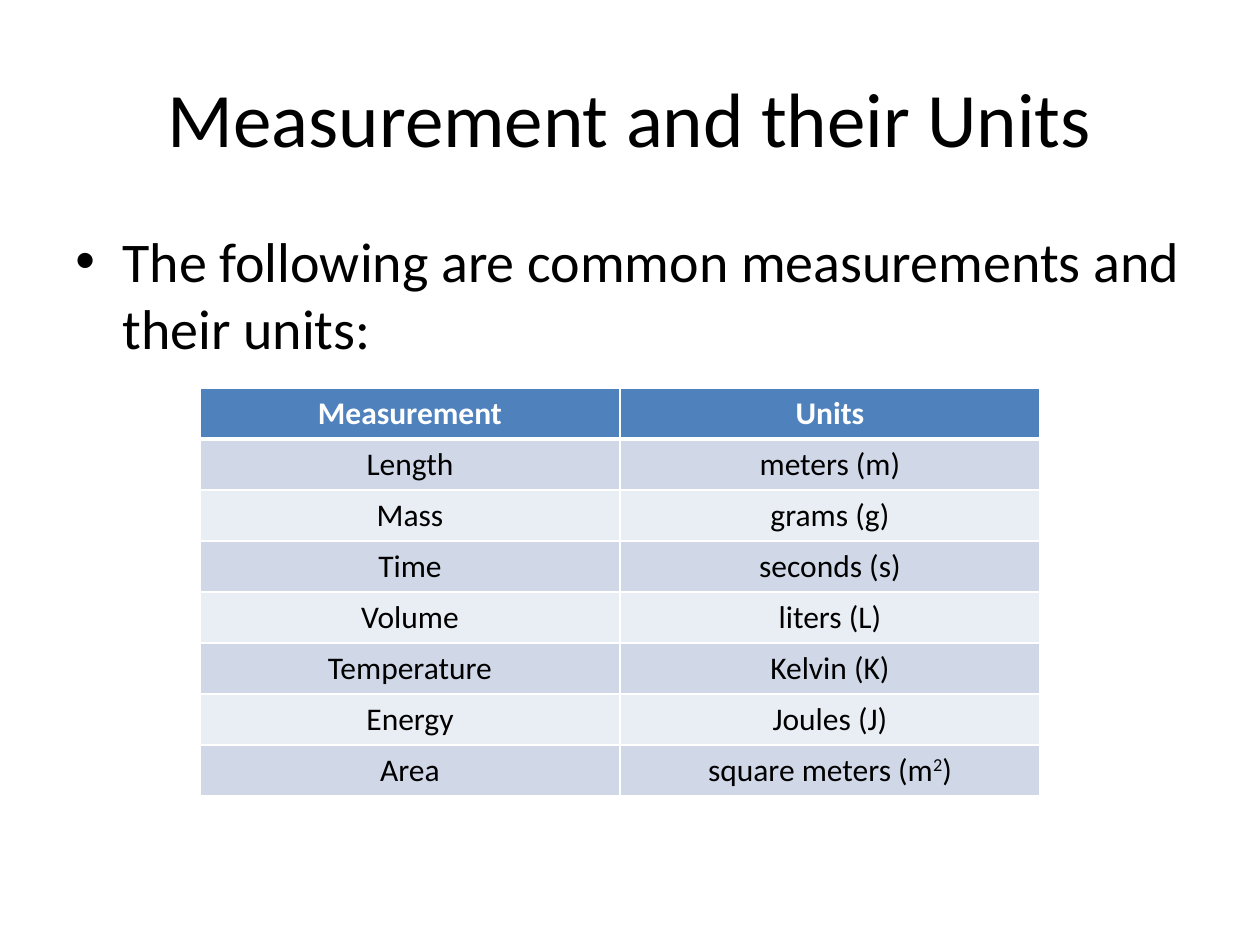
from lxml import etree
from pptx import Presentation
from pptx import util as u
from pptx.dml.color import RGBColor
from pptx.enum import text
from pptx.oxml import ns

FONT = "Calibri"
BLACK = RGBColor(0x00, 0x00, 0x00)
WHITE = RGBColor(0xFF, 0xFF, 0xFF)
BLUE = RGBColor(0x4F, 0x81, 0xBD)
BANDS = (RGBColor(0xD0, 0xD8, 0xE8), RGBColor(0xE9, 0xED, 0xF4))
THIN, THICK = 1, 3

ROWS = [
    ("Measurement", "Units"),
    ("Length", "meters (m)"),
    ("Mass", "grams (g)"),
    ("Time", "seconds (s)"),
    ("Volume", "liters (L)"),
    ("Temperature", "Kelvin (K)"),
    ("Energy", "Joules (J)"),
    ("Area", ("square meters (m", "2", ")")),
]


def px(n):
    return u.Emu(round(n * 914400 / 126))


def add_run(para, words, size, color=BLACK, bold=False, raised=False):
    run = para.add_run()
    run.text = words
    font = run.font
    font.name, font.size, font.bold = FONT, u.Pt(size), bold
    font.color.rgb = color
    if raised:
        font._element.set("baseline", "30000")


def add_frame(slide, box, anchor):
    frame = slide.shapes.add_textbox(*map(px, box)).text_frame
    frame.word_wrap = True
    frame.vertical_anchor = anchor
    return frame


def add_title(slide, box):
    para = add_frame(slide, box, text.MSO_ANCHOR.MIDDLE).paragraphs[0]
    para.alignment = text.PP_ALIGN.CENTER
    add_run(para, "Measurement and their Units", 44)


def add_body(slide, box):
    para = add_frame(slide, box, text.MSO_ANCHOR.TOP).paragraphs[0]
    para.space_before = u.Pt(6.4)
    props = para._p.get_or_add_pPr()
    props.set("marL", str(px(47)))
    props.set("indent", str(-px(47)))
    etree.SubElement(props, ns.qn("a:buFont"), typeface="Arial")
    etree.SubElement(props, ns.qn("a:buChar"), char="•")
    add_run(para, "The following are common measurements and their units:", 32)


def add_edge(cell, side, width):
    line = etree.SubElement(cell._tc.get_or_add_tcPr(), ns.qn("a:ln" + side),
                            w=str(u.Pt(width)))
    fill = etree.SubElement(line, ns.qn("a:solidFill"))
    etree.SubElement(fill, ns.qn("a:srgbClr"), val=str(WHITE))


def fill_cell(cell, words, row):
    head = row == 0
    edges = {"L": THIN, "R": THIN,
             "T": THICK if row == 1 else THIN,
             "B": THICK if head else THIN}
    for side, width in edges.items():
        add_edge(cell, side, width)
    cell.fill.solid()
    cell.fill.fore_color.rgb = BLUE if head else BANDS[(row - 1) % 2]
    para = cell.text_frame.paragraphs[0]
    para.alignment = text.PP_ALIGN.CENTER
    parts = (words,) if isinstance(words, str) else words
    for i, part in enumerate(parts):
        add_run(para, part, 18, WHITE if head else BLACK, head, i == 1)


def add_units(slide, box):
    left, top, width, height = box
    count = len(ROWS)
    table = slide.shapes.add_table(count, 2, *map(px, box)).table
    for col in table.columns:
        col.width = px(width / 2)
    for r, pair in enumerate(ROWS):
        table.rows[r].height = px(height / count)
        for c, words in enumerate(pair):
            fill_cell(table.cell(r, c), words, r)


def main():
    deck = Presentation()
    deck.slide_width, deck.slide_height = px(1260), px(945)
    slide = deck.slides.add_slide(deck.slide_layouts[6])
    add_title(slide, (63, 38, 1134, 157))
    add_body(slide, (63, 220, 1134, 624))
    add_units(slide, (200, 388, 840, 408))
    deck.save("out.pptx")


if __name__ == "__main__":
    main()
